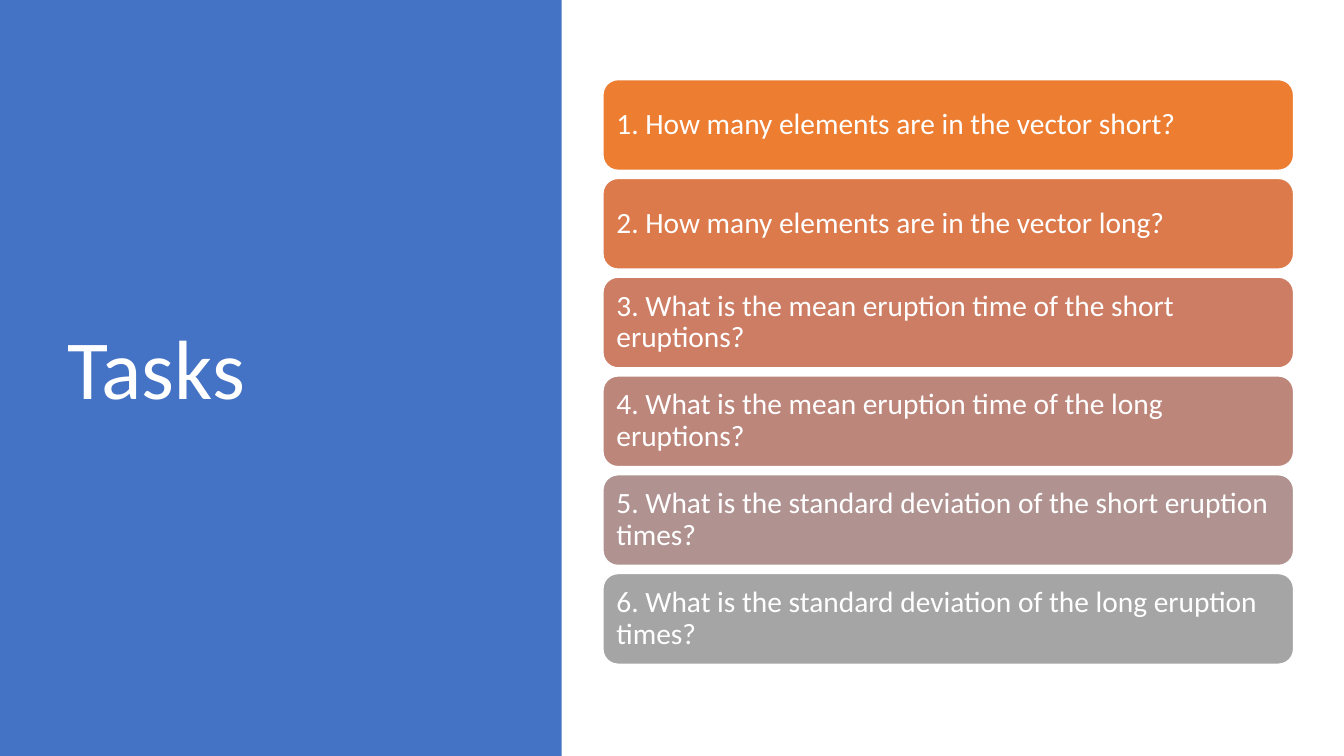
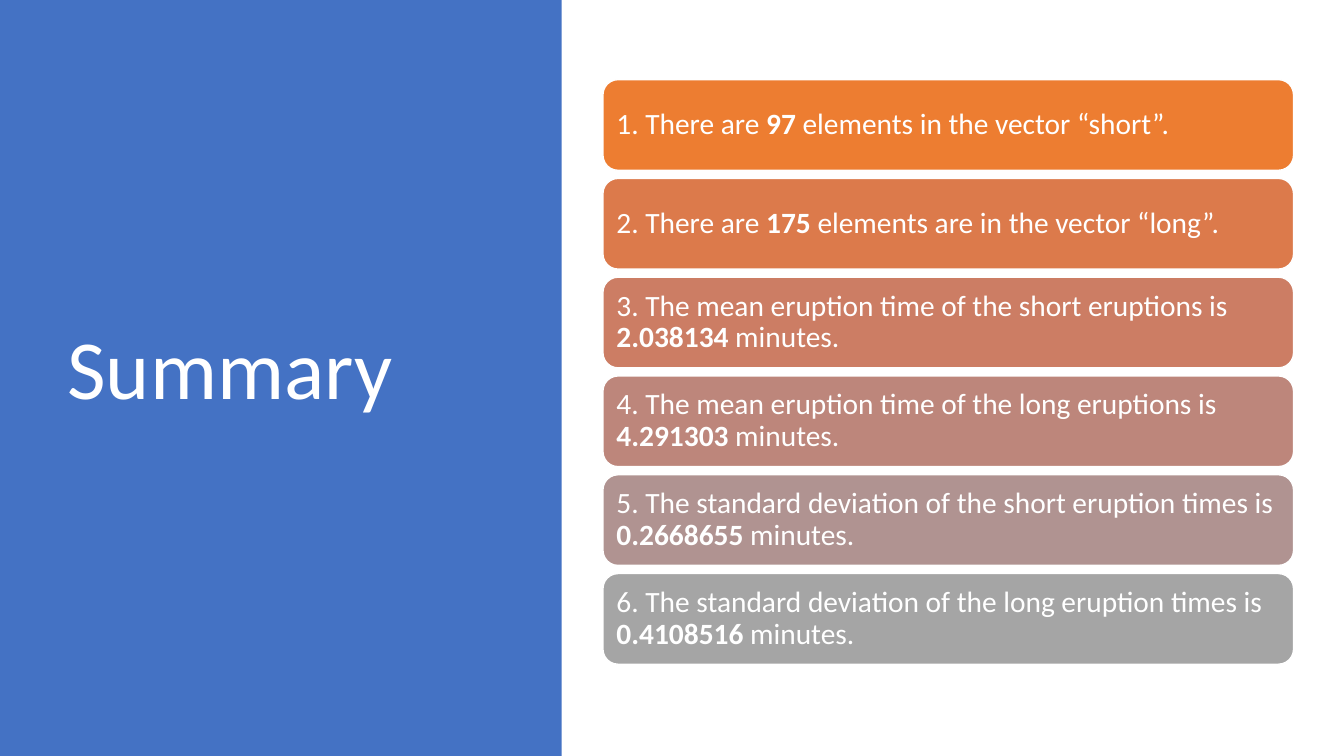
"""Build two slides, each with a title panel beside a stack of six cards."""
from pptx import Presentation
from pptx.dml.color import RGBColor
from pptx.enum import shapes, text
from pptx.util import Inches, Pt

FONT = "Calibri"
WHITE = RGBColor(0xFF, 0xFF, 0xFF)
BLUE = RGBColor(0x44, 0x72, 0xC4)
FILLS = [RGBColor.from_string(c) for c in
         ("ED7D31", "DC7A4B", "CC7D64", "BD867B", "B09391", "A5A5A5")]

SLIDES = [
    ("Tasks", [
        "1. How many elements are in the vector short?",
        "2. How many elements are in the vector long?",
        "3. What is the mean eruption time of the short eruptions?",
        "4. What is the mean eruption time of the long eruptions?",
        "5. What is the standard deviation of the short eruption times?",
        "6. What is the standard deviation of the long eruption times?",
    ]),
    ("Summary", [
        "1. There are *97* elements in the vector “short”.",
        "2. There are *175* elements are in the vector “long”.",
        "3. The mean eruption time of the short eruptions is *2.038134* minutes.",
        "4. The mean eruption time of the long eruptions is *4.291303* minutes.",
        "5. The standard deviation of the short eruption times is *0.2668655* minutes.",
        "6. The standard deviation of the long eruption times is *0.4108516* minutes.",
    ]),
]

LEFT, TOP, WIDTH, HEIGHT, STEP = 5.98, 0.79, 6.85, 0.9, 0.98
INSET = Inches(0.09)


def write(shape, words, size):
    """Fill a shape with white text, bold between asterisks."""
    frame = shape.text_frame
    frame.word_wrap = True
    frame.vertical_anchor = text.MSO_ANCHOR.MIDDLE
    para = frame.paragraphs[0]
    para.alignment = text.PP_ALIGN.LEFT
    para.line_spacing = 0.9
    para.font.name = FONT
    para.font.size = Pt(size)
    para.font.color.rgb = WHITE
    for i, part in enumerate(words.split("*")):
        run = para.add_run()
        run.text = part
        if i % 2:
            run.font.bold = True
    return frame


def block(slide, kind, box, fill):
    """Add a filled shape without shadow."""
    shape = slide.shapes.add_shape(kind, *map(Inches, box))
    shape.shadow.inherit = False
    shape.fill.solid()
    shape.fill.fore_color.rgb = fill
    return shape


def build(deck, title, items):
    """Add one slide with its title panel and cards."""
    slide = deck.slides.add_slide(deck.slide_layouts[6])
    panel = block(slide, shapes.MSO_SHAPE.RECTANGLE, (0, 0, 5.57, 7.5), BLUE)
    panel.line.fill.background()
    head = slide.shapes.add_textbox(*map(Inches, (0.57, 0.68, 4.16, 6.02)))
    write(head, title, 60)
    for i, (item, fill) in enumerate(zip(items, FILLS)):
        box = LEFT, TOP + i * STEP, WIDTH, HEIGHT
        card = block(slide, shapes.MSO_SHAPE.ROUNDED_RECTANGLE, box, fill)
        card.line.color.rgb = WHITE
        card.line.width = Pt(1)
        frame = write(card, item, 21)
        frame.margin_left = frame.margin_right = INSET
        frame.margin_top = frame.margin_bottom = INSET


def main():
    """Build and save the deck."""
    deck = Presentation()
    deck.slide_width = Inches(13.33)
    deck.slide_height = Inches(7.5)
    for title, items in SLIDES:
        build(deck, title, items)
    deck.save("out.pptx")


if __name__ == "__main__":
    main()
